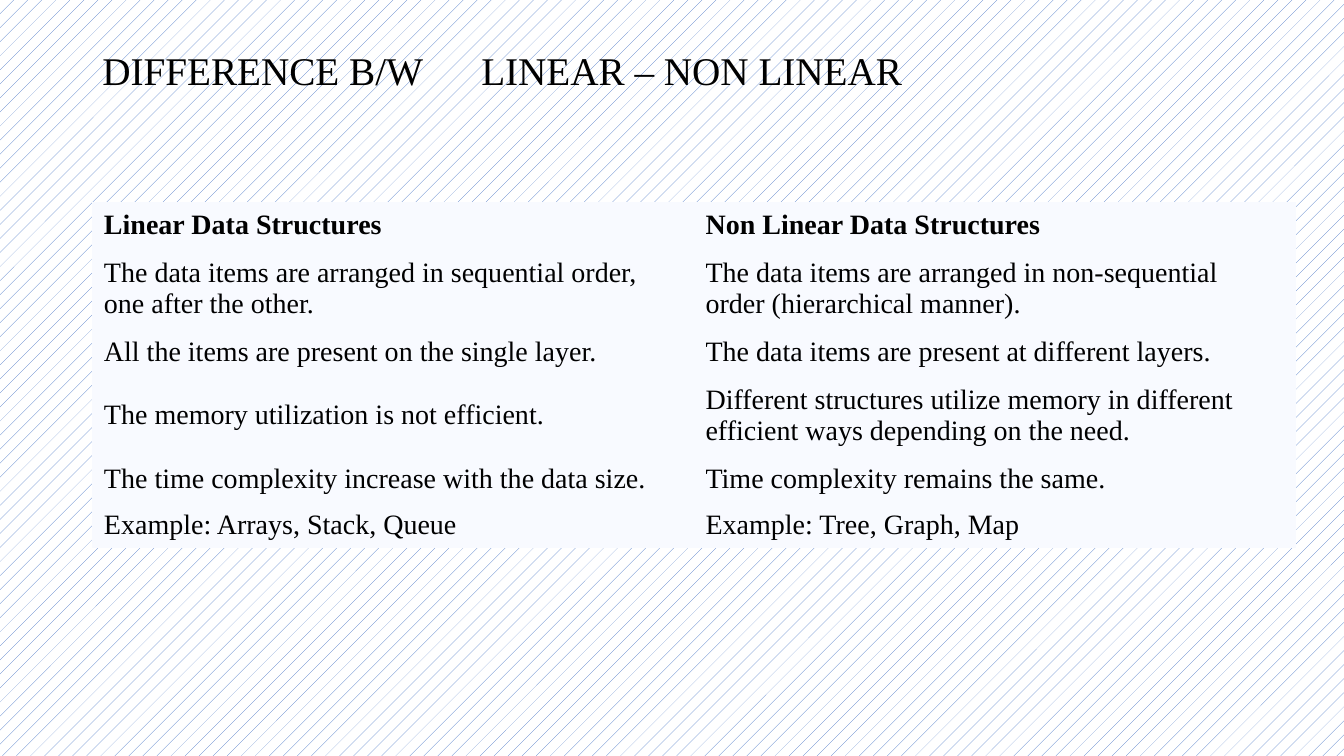
import pptx
import pptx.dml.color
import pptx.enum.dml
import pptx.enum.text
import pptx.oxml
import pptx.oxml.ns
import pptx.util
from pptx.util import Cm

# Content
TITLE = "DIFFERENCE B/W\tLINEAR – NON LINEAR"
ROWS = [
    ("Linear Data Structures", "Non Linear Data Structures"),
    ("The data items are arranged in sequential order, one after the other.",
     "The data items are arranged in non-sequential order (hierarchical manner)."),
    ("All the items are present on the single layer.",
     "The data items are present at different layers."),
    ("The memory utilization is not efficient.",
     "Different structures utilize memory in different efficient ways depending on the need."),
    ("The time complexity increase with the data size.",
     "Time complexity remains the same."),
    ("Example: Arrays, Stack, Queue", "Example: Tree, Graph, Map"),
]

THEME = {
    "font": "Times New Roman",
    "title_size": 28,
    "table_size": 20,
    "ink": "000000",
    "cell": "F8FAFF",
    "hatch": "4472C4",
    "paper": "FFFFFF",
}

# Layout
LEFT = Cm(2.33)
TABLE_TOP = Cm(5.08)
TABLE_WIDTH = Cm(30.32)
ONE_LINE, TWO_LINES = Cm(1.17), Cm(2.03)
LINE_CAPACITY = 60
TITLE_TAB = Cm(9.55)
NO_GRID_STYLE = "{2D5ABB26-0587-4C30-8999-92F81FD0307C}"
MIDDLE = pptx.enum.text.MSO_ANCHOR.MIDDLE


def colour(name):
    return pptx.dml.color.RGBColor.from_string(THEME[name])


def style(para, size, bold=False):
    for span in para.runs:
        span.font.name = THEME["font"]
        span.font.size = pptx.util.Pt(THEME[size])
        span.font.bold = bold
        span.font.color.rgb = colour("ink")


def paint_background(page):
    fill = page.background.fill
    fill.patterned()
    fill.pattern = pptx.enum.dml.MSO_PATTERN.PERCENT_5
    fill.fore_color.rgb = colour("hatch")
    fill.back_color.rgb = colour("paper")


def add_title(page):
    box = page.shapes.add_textbox(LEFT, 0, Cm(29.21), Cm(3.68))
    frame = box.text_frame
    frame.word_wrap = True
    frame.vertical_anchor = MIDDLE
    frame.text = TITLE
    para = frame.paragraphs[0]
    para.line_spacing = 0.9
    style(para, "title_size")
    # Tab stop that separates the two halves of the title
    para._p.get_or_add_pPr().append(pptx.oxml.parse_xml(
        f'<a:tabLst {pptx.oxml.ns.nsdecls("a")}>'
        f'<a:tab pos="{int(TITLE_TAB)}" algn="l"/></a:tabLst>'))


def add_comparison(page):
    heights = [TWO_LINES if max(map(len, texts)) > LINE_CAPACITY else ONE_LINE
               for texts in ROWS]
    table = page.shapes.add_table(len(ROWS), len(ROWS[0]), LEFT, TABLE_TOP,
                                  TABLE_WIDTH, sum(heights)).table
    table.first_row = False
    table.horz_banding = False
    table._tbl.tblPr.find(pptx.oxml.ns.qn("a:tableStyleId")).text = NO_GRID_STYLE

    for index, (texts, height) in enumerate(zip(ROWS, heights)):
        table.rows[index].height = height
        for cell, text in zip(table.rows[index].cells, texts):
            cell.fill.solid()
            cell.fill.fore_color.rgb = colour("cell")
            cell.vertical_anchor = MIDDLE
            cell.margin_left = cell.margin_right = Cm(0.29)
            cell.margin_top = cell.margin_bottom = Cm(0.15)
            cell.text_frame.text = text
            style(cell.text_frame.paragraphs[0], "table_size", bold=index == 0)


def main():
    deck = pptx.Presentation()
    deck.slide_width, deck.slide_height = Cm(33.87), Cm(19.05)
    page = deck.slides.add_slide(deck.slide_layouts[6])
    paint_background(page)
    add_title(page)
    add_comparison(page)
    deck.save("out.pptx")


if __name__ == "__main__":
    main()
